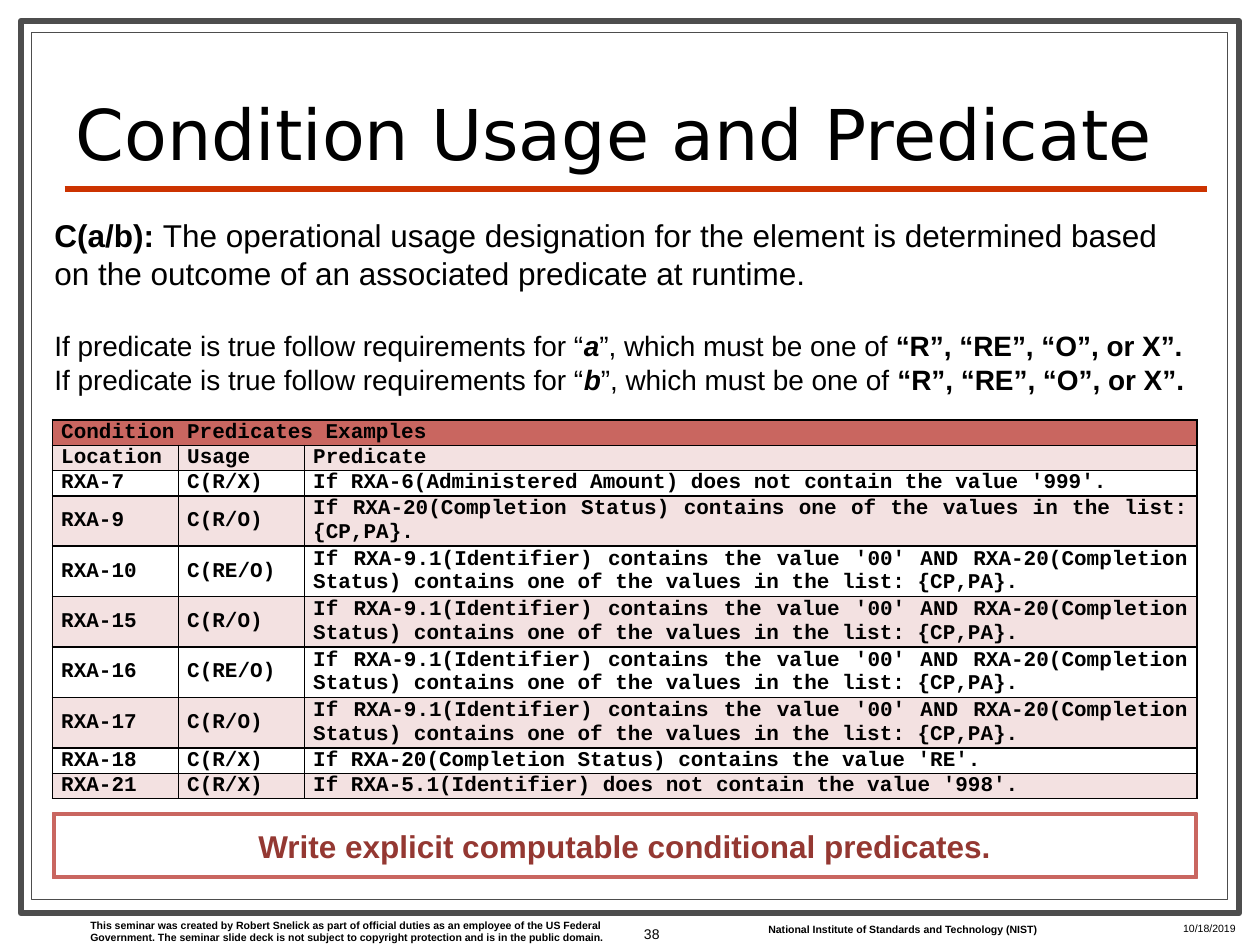
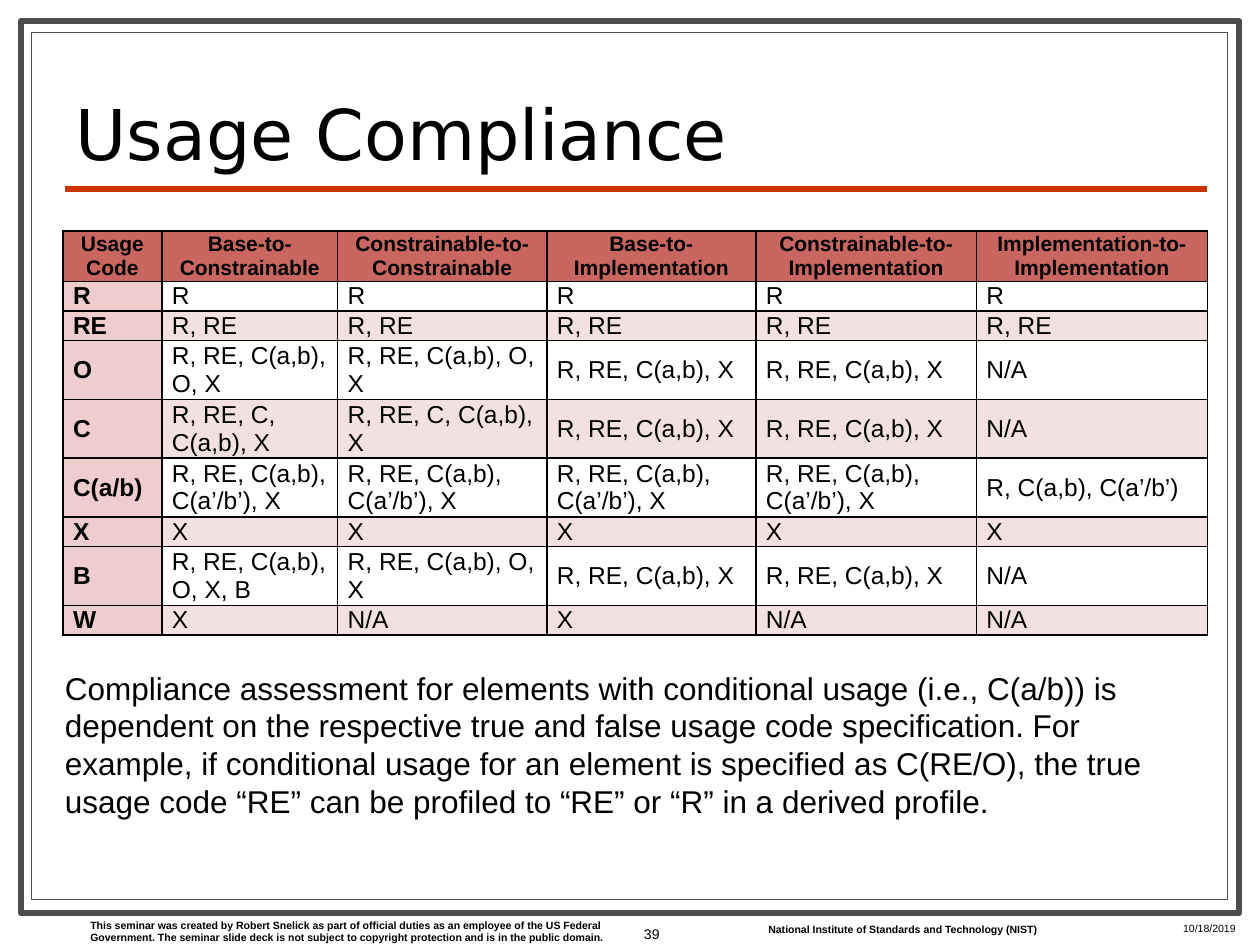
from dataclasses import dataclass

from lxml import etree
from pptx import Presentation
from pptx.dml.color import RGBColor
from pptx.enum import shapes, text as txt
from pptx.oxml import ns
from pptx.util import Pt


@dataclass(frozen=True)
class Theme:
    white: str = "FFFFFF"
    black: str = "000000"
    frame: str = "4D4D4D"
    rule: str = "CC3300"
    header: str = "C96660"
    code: str = "EECECC"
    band: str = "F3E1E1"
    callout: str = "943832"
    title_font: str = "DejaVu Sans"
    body_font: str = "Arial"
    code_font: str = "Courier New"
    title_size: float = 40
    body_size: float = 18
    detail_size: float = 16
    cell_size: float = 14
    small_cell_size: float = 12
    number_size: float = 8
    footer_size: float = 6


theme = Theme()
rgb = RGBColor.from_string
LEFT, CENTER, RIGHT, JUSTIFY = (txt.PP_ALIGN.LEFT, txt.PP_ALIGN.CENTER,
                                txt.PP_ALIGN.RIGHT, txt.PP_ALIGN.JUSTIFY)
MIDDLE = txt.MSO_ANCHOR.MIDDLE


def write(frame, content, size=theme.body_size, font=theme.body_font,
          color=theme.black, bold=False, align=LEFT, before=0, spacing=None):
    """Add one paragraph; content is a string or (text, bold, italic) runs."""
    frame.word_wrap = True
    paragraph = frame.add_paragraph() if frame.text else frame.paragraphs[0]
    paragraph.alignment = align
    if before:
        paragraph.space_before = Pt(before)
    if spacing:
        paragraph.line_spacing = spacing
    runs = [(content, bold, False)] if isinstance(content, str) else content
    for words, run_bold, italic in runs:
        run = paragraph.add_run()
        run.text = words
        run.font.name, run.font.size = font, Pt(size)
        run.font.bold, run.font.italic = run_bold, italic
        run.font.color.rgb = rgb(color)


def add_grid(slide, left, top, widths, heights, rows, style, inset):
    """Add a bordered table; style(row, column) gives fill and text format."""
    grid = slide.shapes.add_table(len(rows), len(widths), Pt(left), Pt(top),
                                  Pt(sum(widths)), Pt(sum(heights))).table
    grid.first_row = grid.horz_banding = False
    for column, width in zip(grid.columns, widths):
        column.width = Pt(width)
    for r, values in enumerate(rows):
        grid.rows[r].height = Pt(heights[r])
        for c in range(len(widths)):
            cell = grid.cell(r, c)
            cell.margin_left = cell.margin_right = Pt(inset)
            cell.margin_top = cell.margin_bottom = 0
            cell.vertical_anchor = MIDDLE
            properties = cell._tc.get_or_add_tcPr()
            for side in ("a:lnL", "a:lnR", "a:lnT", "a:lnB"):
                border = etree.SubElement(properties, ns.qn(side), w=str(Pt(1)))
                ink = etree.SubElement(border, ns.qn("a:solidFill"))
                etree.SubElement(ink, ns.qn("a:srgbClr"), val=theme.black)
            fill, text_format = style(r, c)
            if fill:
                cell.fill.solid()
                cell.fill.fore_color.rgb = rgb(fill)
            else:
                cell.fill.background()
            if c < len(values):
                write(cell.text_frame, values[c], **text_format)
        if len(values) == 1:
            grid.cell(r, 0).merge(grid.cell(r, len(widths) - 1))


deck = Presentation()
deck.slide_width, deck.slide_height = Pt(720), Pt(540)

# Shared frames, title, rule and footers
frames = [(12, 12, 696, 510, 3.5), (18, 18.5, 683.5, 495.5, 0.75)]
footers = [
    (44.5, 521.5, 312, 21.5, True,
     "This seminar was created by Robert Snelick as part of official duties as "
     "an employee of the US Federal Government. The seminar slide deck is not "
     "subject to copyright protection and is in the public domain."),
    (432, 524, 171.5, 14.5, True,
     "National Institute of Standards and Technology (NIST)"),
    (669, 523.5, 46, 11.5, False, "10/18/2019"),
]
slides = []
for number, heading in ((38, "Condition Usage and Predicate"),
                        (39, "Usage Compliance")):
    slide = deck.slides.add_slide(deck.slide_layouts[5])
    slides.append(slide)
    for left, top, width, height, weight in frames:
        border = slide.shapes.add_shape(shapes.MSO_SHAPE.RECTANGLE, Pt(left),
                                        Pt(top), Pt(width), Pt(height))
        border.shadow.inherit = False
        border.fill.solid()
        border.fill.fore_color.rgb = rgb(theme.white)
        border.line.color.rgb = rgb(theme.frame)
        border.line.width = Pt(weight)

    rule = slide.shapes.add_connector(shapes.MSO_CONNECTOR.STRAIGHT,
                                      Pt(37), Pt(108), Pt(690), Pt(108))
    rule.line.color.rgb = rgb(theme.rule)
    rule.line.width = Pt(3)
    etree.SubElement(rule.element.spPr, ns.qn("a:effectLst"))

    title = slide.shapes.title
    title.element.getparent().append(title.element)  # bring above the frames
    title.left, title.top, title.width, title.height = (
        Pt(36), Pt(38), Pt(642), Pt(65))
    title.text_frame.auto_size = txt.MSO_AUTO_SIZE.NONE
    title.text_frame.vertical_anchor = txt.MSO_ANCHOR.BOTTOM
    write(title.text_frame, heading, theme.title_size, theme.title_font,
          spacing=0.8)

    for left, top, width, height, bold, words in footers:
        footer = slide.shapes.add_textbox(Pt(left), Pt(top), Pt(width), Pt(height))
        write(footer.text_frame, words, theme.footer_size, bold=bold)
    page = slide.shapes.add_textbox(Pt(342), Pt(515), Pt(42), Pt(37.5))
    page.text_frame.vertical_anchor = MIDDLE
    write(page.text_frame, str(number), theme.number_size, align=RIGHT)

predicate_slide, compliance_slide = slides

# Condition usage and predicate
both = ("If RXA-9.1(Identifier) contains the value '00' AND RXA-20(Completion "
        "Status) contains one of the values in the list: {CP,PA}.")
predicates = [
    ["Condition Predicates Examples"],
    ["Location", "Usage", "Predicate"],
    ["RXA-7", "C(R/X)",
     "If RXA-6(Administered Amount) does not contain the value '999'."],
    ["RXA-9", "C(R/O)", "If RXA-20(Completion Status) contains one of the "
     "values in the list: {CP,PA}."],
    ["RXA-10", "C(RE/O)", both],
    ["RXA-15", "C(R/O)", both],
    ["RXA-16", "C(RE/O)", both],
    ["RXA-17", "C(R/O)", both],
    ["RXA-18", "C(R/X)", "If RXA-20(Completion Status) contains the value 'RE'."],
    ["RXA-21", "C(R/X)", "If RXA-5.1(Identifier) does not contain the value '998'."],
]


def predicate_style(row, column):
    fill = theme.header if row == 0 else theme.band if row % 2 else None
    return fill, dict(size=theme.small_cell_size, font=theme.code_font,
                      bold=True, align=JUSTIFY)


add_grid(predicate_slide, 30, 240, [72, 72, 510],
         [27.2 if 3 <= r <= 7 else 13.6 for r in range(len(predicates))],
         predicates, predicate_style, inset=5)

definition = predicate_slide.shapes.add_textbox(Pt(24), Pt(120), Pt(663), Pt(111.5))
write(definition.text_frame, [
    ("C(a/b): ", True, False),
    ("The operational usage designation for the element is determined based on "
     "the outcome of an associated predicate at runtime.", False, False)])
for branch, before in (("a", 21), ("b", 0)):
    write(definition.text_frame, [
        ("If predicate is true follow requirements for “", False, False),
        (branch, True, True),
        ("”, which must be one of ", False, False),
        ("“R”, “RE”, “O”, or X”.", True, False)],
        theme.detail_size, before=before)

advice = predicate_slide.shapes.add_shape(shapes.MSO_SHAPE.FRAME, Pt(30),
                                          Pt(464.5), Pt(654), Pt(37.5))
advice.adjustments[0] = 0.04
advice.shadow.inherit = False
advice.fill.solid()
advice.fill.fore_color.rgb = advice.line.color.rgb = rgb(theme.header)
advice.line.width = Pt(0.75)
advice.text_frame.vertical_anchor = MIDDLE
write(advice.text_frame, "Write explicit computable conditional predicates.",
      color=theme.callout, bold=True, align=CENTER)

# Usage compliance
optional = "R, RE, C(a,b), O, X"
fixed = "R, RE, C(a,b), X"
nested = "R, RE, C(a,b), C(a’/b’), X"
conditional = "R, RE, C, C(a,b), X"
compliance = [
    ["Usage Code", "Base-to-Constrainable", "Constrainable-to-Constrainable",
     "Base-to-Implementation", "Constrainable-to-Implementation",
     "Implementation-to-Implementation"],
    ["R"] + ["R"] * 5,
    ["RE"] + ["R, RE"] * 5,
    ["O", optional, optional, fixed, fixed, "N/A"],
    ["C", conditional, conditional, fixed, fixed, "N/A"],
    ["C(a/b)"] + [nested] * 4 + ["R, C(a,b), C(a’/b’)"],
    ["X"] + ["X"] * 5,
    ["B", optional + ", B", optional, fixed, fixed, "N/A"],
    ["W", "X", "N/A", "X", "N/A", "N/A"],
]


def compliance_style(row, column):
    if row == 0:
        return theme.header, dict(size=theme.small_cell_size, bold=True, align=CENTER)
    if column == 0:
        return theme.code, dict(size=theme.cell_size, bold=True, align=JUSTIFY)
    return None if row % 2 else theme.band, dict(size=theme.cell_size)


add_grid(compliance_slide, 36, 132, [56.5, 100.5, 119.5, 119.5, 126, 132],
         [26.8] + [31.4 if row[0] in ("O", "C", "C(a/b)", "B") else 15.7
                   for row in compliance[1:]],
         compliance, compliance_style, inset=5.75)

assessment = compliance_slide.shapes.add_textbox(Pt(30), Pt(378.5), Pt(660), Pt(94.5))
write(assessment.text_frame,
      "Compliance assessment for elements with conditional usage (i.e., C(a/b)) "
      "is dependent on the respective true and false usage code specification. "
      "For example, if conditional usage for an element is specified as C(RE/O), "
      "the true usage code “RE” can be profiled to “RE” or “R” in a derived "
      "profile.")

deck.save("out.pptx")
